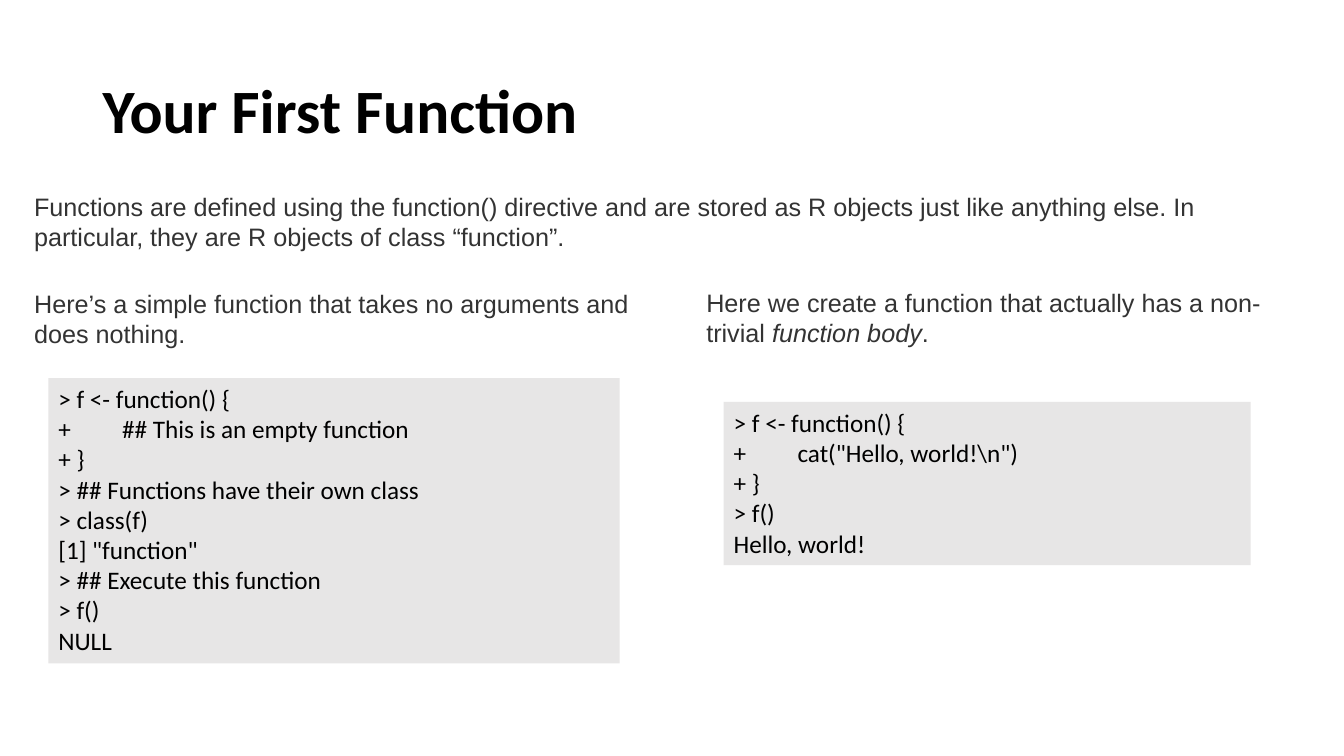
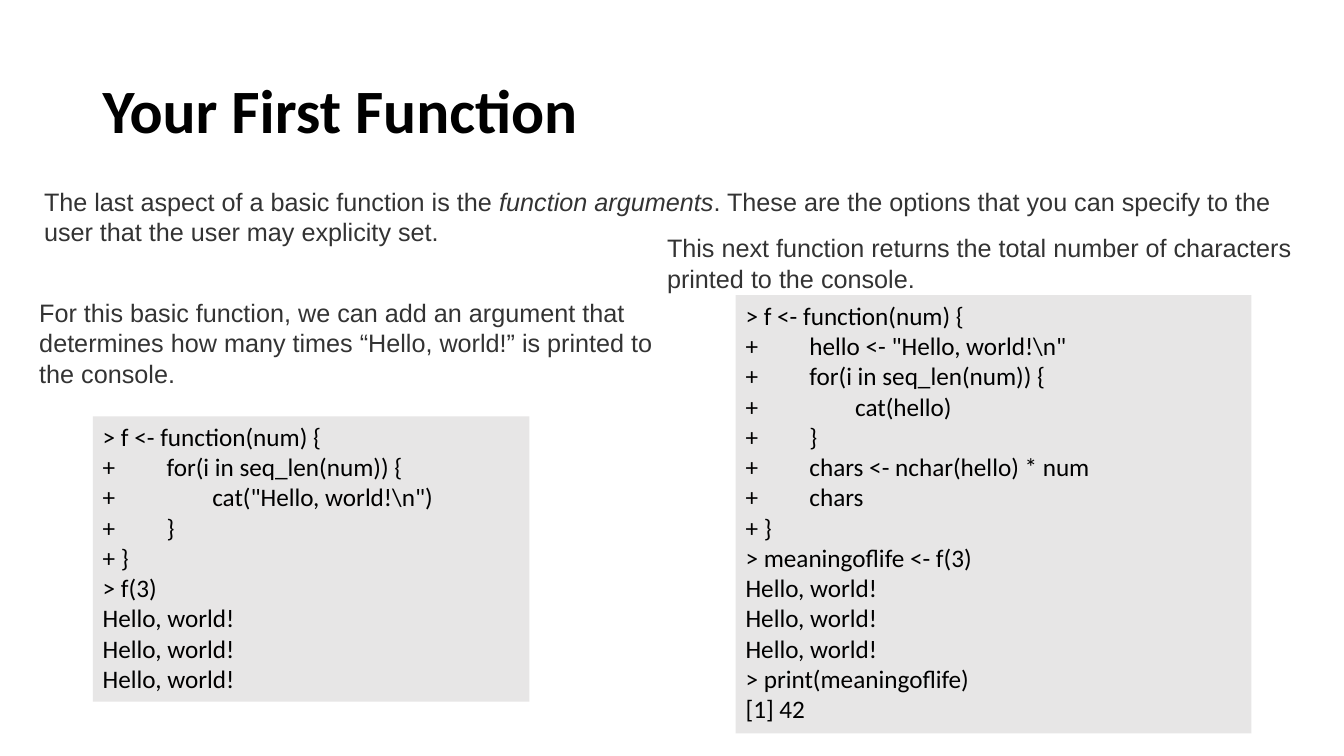
from pptx import Presentation
from pptx.dml.color import RGBColor
from pptx.enum.shapes import MSO_SHAPE as Shape
from pptx.enum.text import MSO_ANCHOR as Anchor, MSO_AUTO_SIZE as AutoSize, PP_ALIGN as Align
from pptx.oxml.ns import qn
from pptx.util import Cm, Pt
from lxml.etree import SubElement

COLORS = {"black": "000000", "prose": "333333", "panel": "E7E6E6"}
TITLE = "Your First Function"
CODE_TABS = (1.61, 2.76)
LINE_HEIGHT = 0.77
PADDING = 0.26


def write_lines(frame, lines, font="Calibri", size=18, color="black", bold=False, spacing=None, tabs=()):
    frame.word_wrap = True
    for number, line in enumerate(lines):
        para = frame.add_paragraph() if number else frame.paragraphs[0]
        para.alignment = Align.LEFT
        if spacing:
            para.line_spacing = spacing
        if tabs:
            tab_list = SubElement(para._p.get_or_add_pPr(), qn("a:tabLst"))
            for stop in tabs:
                SubElement(tab_list, qn("a:tab"), pos=str(Cm(stop)), algn="l")
        for position, piece in enumerate(line.split("|")):
            span = para.add_run()
            span.text = piece
            span.font.name = font
            span.font.size = Pt(size)
            span.font.bold = bold
            span.font.italic = position % 2 == 1
            span.font.color.rgb = RGBColor.from_string(COLORS[color])


PAGES = [
    {
        "prose": [
            (0.61, 4.7, 32.66, 2, "Functions are defined using the function() directive and are stored as R objects "
             "just like anything else. In particular, they are R objects of class “function”."),
            (0.61, 7.14, 16.94, 2, "Here’s a simple function that takes no arguments and does nothing."),
            (17.55, 7.11, 15.72, 2, "Here we create a function that actually has a non-trivial |function body|."),
        ],
        "code": [
            (1.22, 9.53, 14.4, [
                "> f <- function() {",
                "+\t## This is an empty function",
                "+ }",
                "> ## Functions have their own class",
                "> class(f)",
                '[1] "function"',
                "> ## Execute this function",
                "> f()",
                "NULL",
            ]),
            (18.24, 10.13, 13.28, [
                "> f <- function() {",
                '+\tcat("Hello, world!\\n")',
                "+ }",
                "> f()",
                "Hello, world!",
            ]),
        ],
    },
    {
        "prose": [
            (0.86, 4.57, 32.13, 2, "The last aspect of a basic function is the |function arguments|. These are the "
             "options that you can specify to the user that the user may explicity set."),
            (0.74, 7.37, 16.94, 3, "For this basic function, we can add an argument that determines how many times "
             "“Hello, world!” is printed to the console."),
            (16.56, 5.74, 16.94, 2, "This next function returns the total number of characters printed to the console."),
        ],
        "code": [
            (2.34, 10.49, 11, [
                "> f <- function(num) {",
                "+\tfor(i in seq_len(num)) {",
                '+\t\tcat("Hello, world!\\n")',
                "+\t}",
                "+ }",
                "> f(3)",
                *["Hello, world!"] * 3,
            ]),
            (18.54, 7.44, 13, [
                "> f <- function(num) {",
                '+\thello <- "Hello, world!\\n"',
                "+\tfor(i in seq_len(num)) {",
                "+\t\tcat(hello)",
                "+\t}",
                "+\tchars <- nchar(hello) * num",
                "+\tchars",
                "+ }",
                "> meaningoflife <- f(3)",
                *["Hello, world!"] * 3,
                "> print(meaningoflife)",
                "[1] 42",
            ]),
        ],
    },
]

deck = Presentation()
deck.slide_width = Cm(33.87)
deck.slide_height = Cm(19.05)

for content in PAGES:
    page = deck.slides.add_slide(deck.slide_layouts[5])
    title = page.shapes.title
    title.left, title.top, title.width, title.height = Cm(2.33), Cm(1.01), Cm(29.21), Cm(3.68)
    title.text_frame.auto_size = AutoSize.NONE
    title.text_frame.vertical_anchor = Anchor.MIDDLE
    write_lines(title.text_frame, [TITLE], size=44, bold=True, spacing=0.9)

    for left, top, width, rows, text in content["prose"]:
        box = page.shapes.add_textbox(Cm(left), Cm(top), Cm(width), Cm(rows * LINE_HEIGHT + PADDING))
        box.text_frame.auto_size = AutoSize.SHAPE_TO_FIT_TEXT
        write_lines(box.text_frame, [text], font="Arial", color="prose")

    for left, top, width, lines in content["code"]:
        height = len(lines) * LINE_HEIGHT + PADDING
        panel = page.shapes.add_shape(Shape.RECTANGLE, Cm(left), Cm(top), Cm(width), Cm(height))
        panel.shadow.inherit = False
        panel.fill.solid()
        panel.fill.fore_color.rgb = RGBColor.from_string(COLORS["panel"])
        panel.line.fill.background()
        panel.text_frame.auto_size = AutoSize.SHAPE_TO_FIT_TEXT
        panel.text_frame.vertical_anchor = Anchor.TOP
        write_lines(panel.text_frame, lines, tabs=CODE_TABS)

deck.save("out.pptx")
